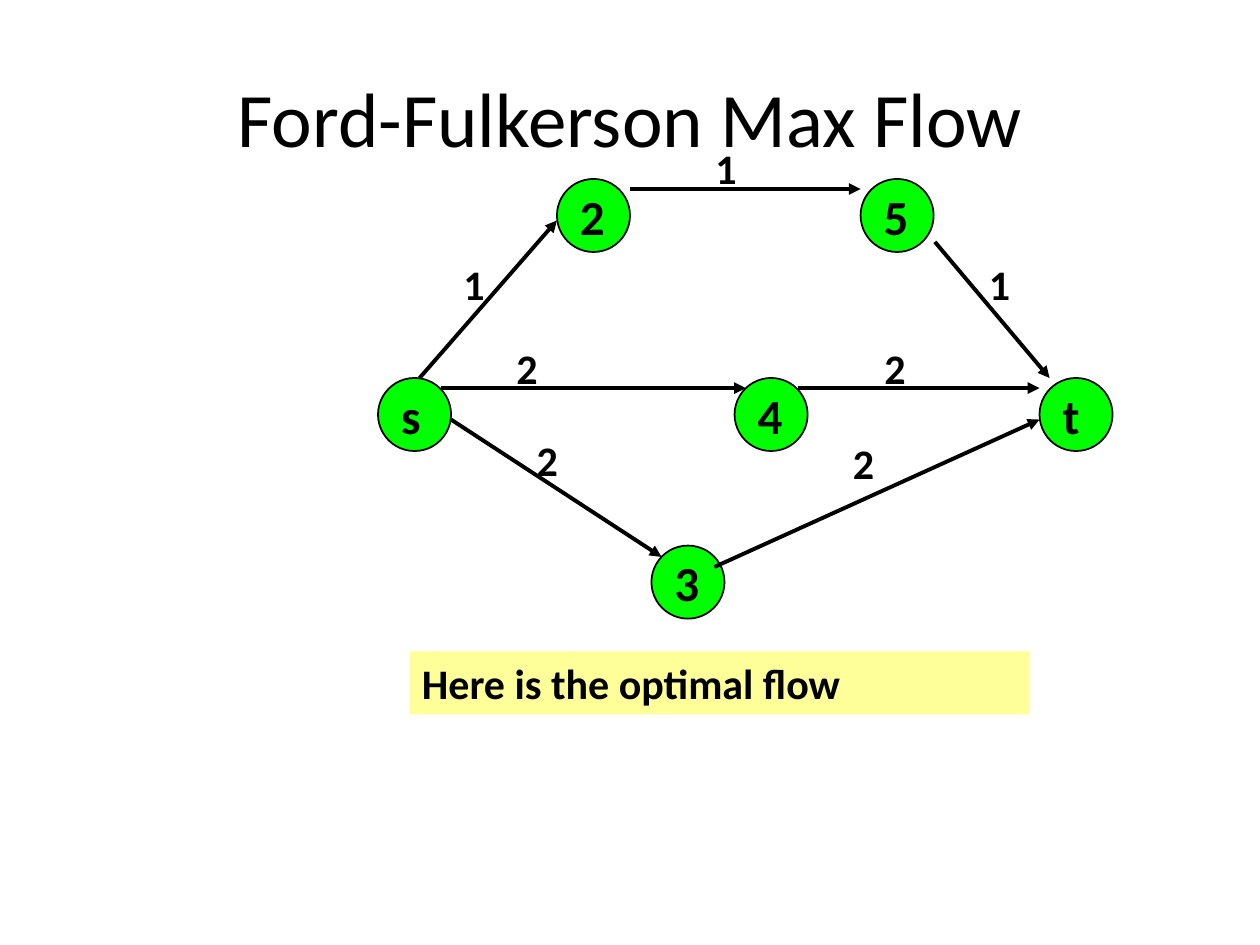
from typing import NamedTuple

from lxml.etree import SubElement
from pptx import Presentation
from pptx.dml.color import RGBColor
from pptx.enum.shapes import MSO_CONNECTOR, MSO_SHAPE
from pptx.enum.text import MSO_ANCHOR, MSO_AUTO_SIZE, PP_ALIGN
from pptx.oxml.ns import qn
from pptx.shapes.group import GroupShape
from pptx.slide import Slide
from pptx.text.text import TextFrame
from pptx.util import Inches, Pt

COLOURS = {"ink": "000000", "node": "00FF00", "caption": "FFFF99"}
FONT = "Calibri"
NODE_SIZE = 0.58
LABEL_WIDTH, LABEL_HEIGHT = 0.59, 0.5


class Node(NamedTuple):
    name: str
    left: float
    top: float


class Edge(NamedTuple):
    flow: str
    label: tuple[float, float]
    start: tuple[float, float]
    end: tuple[float, float]


NODES = [
    Node("s", 3, 3),
    Node("2", 4.42, 1.42),
    Node("4", 5.83, 3),
    Node("5", 6.83, 1.42),
    Node("3", 5.17, 4.33),
    Node("t", 8.25, 3),
]
EDGES = [
    Edge("2", (4.16, 3.4), (3.58, 3.33), (5.25, 4.42)),
    Edge("1", (3.58, 2), (3.33, 3), (4.42, 1.75)),
    Edge("2", (4, 2.67), (3.5, 3.08), (5.92, 3.08)),
    Edge("1", (5.58, 1.08), (5, 1.5), (6.83, 1.5)),
    Edge("2", (6.92, 2.67), (6.33, 3.08), (8.25, 3.08)),
    Edge("2", (6.67, 3.42), (5.67, 4.5), (8.25, 3.33)),
    Edge("1", (7.75, 2), (7.42, 1.92), (8.33, 3)),
]


def colour(name: str) -> RGBColor:
    """Look up a named colour."""
    return RGBColor.from_string(COLOURS[name])


def write(frame: TextFrame, text: str, size: float, bold: bool = True,
          align: PP_ALIGN = PP_ALIGN.LEFT,
          anchor: MSO_ANCHOR = MSO_ANCHOR.TOP, wrap: bool = True) -> None:
    """Fill a text frame with one formatted run."""
    frame.word_wrap = wrap
    frame.vertical_anchor = anchor
    para = frame.paragraphs[0]
    para.alignment = align
    span = para.add_run()
    span.text = text
    span.font.name = FONT
    span.font.size = Pt(size)
    span.font.bold = bold
    span.font.color.rgb = colour("ink")


def draw_title(page: Slide) -> None:
    """Draw the centred heading."""
    box = page.shapes.add_textbox(Inches(0.5), Inches(0.3), Inches(9), Inches(1.25))
    write(box.text_frame, "Ford-Fulkerson Max Flow", 44, bold=False,
          align=PP_ALIGN.CENTER, anchor=MSO_ANCHOR.MIDDLE)


def draw_label(network: GroupShape, edge: Edge) -> None:
    """Draw the flow value of an edge."""
    left, top = edge.label
    box = network.shapes.add_textbox(Inches(left), Inches(top),
                                     Inches(LABEL_WIDTH), Inches(LABEL_HEIGHT))
    write(box.text_frame, edge.flow, 24)
    box.text_frame.auto_size = MSO_AUTO_SIZE.SHAPE_TO_FIT_TEXT


def draw_node(network: GroupShape, node: Node) -> None:
    """Draw a named vertex of the network."""
    circle = network.shapes.add_shape(MSO_SHAPE.OVAL, Inches(node.left), Inches(node.top),
                                      Inches(NODE_SIZE), Inches(NODE_SIZE))
    circle.shadow.inherit = False
    circle.fill.solid()
    circle.fill.fore_color.rgb = colour("node")
    circle.line.color.rgb = colour("ink")
    circle.line.width = Pt(1)
    write(circle.text_frame, node.name, 28, anchor=MSO_ANCHOR.MIDDLE, wrap=False)


def draw_arrow(network: GroupShape, edge: Edge) -> None:
    """Draw the directed line of an edge."""
    ends = [Inches(length) for length in (*edge.start, *edge.end)]
    arrow = network.shapes.add_connector(MSO_CONNECTOR.STRAIGHT, *ends)
    arrow.line.color.rgb = colour("ink")
    arrow.line.width = Pt(2.25)
    properties = arrow.element.spPr
    SubElement(properties.find(qn("a:ln")), qn("a:tailEnd"), type="triangle")
    SubElement(properties, qn("a:effectLst"))


def draw_caption(page: Slide) -> None:
    """Draw the highlighted remark below the network."""
    box = page.shapes.add_shape(MSO_SHAPE.RECTANGLE, Inches(3.25), Inches(5.17),
                                Inches(4.92), Inches(0.5))
    box.shadow.inherit = False
    box.fill.solid()
    box.fill.fore_color.rgb = colour("caption")
    box.line.fill.background()
    write(box.text_frame, "Here is the optimal flow", 24)
    box.text_frame.auto_size = MSO_AUTO_SIZE.SHAPE_TO_FIT_TEXT


def main() -> None:
    """Build and save the deck."""
    deck = Presentation()
    deck.slide_width, deck.slide_height = Inches(10), Inches(7.5)
    page = deck.slides.add_slide(deck.slide_layouts[6])
    draw_title(page)
    network = page.shapes.add_group_shape()
    for edge in EDGES:
        draw_label(network, edge)
    for node in NODES:
        draw_node(network, node)
    for edge in EDGES:
        draw_arrow(network, edge)
    draw_caption(page)
    deck.save("out.pptx")


if __name__ == "__main__":
    main()
